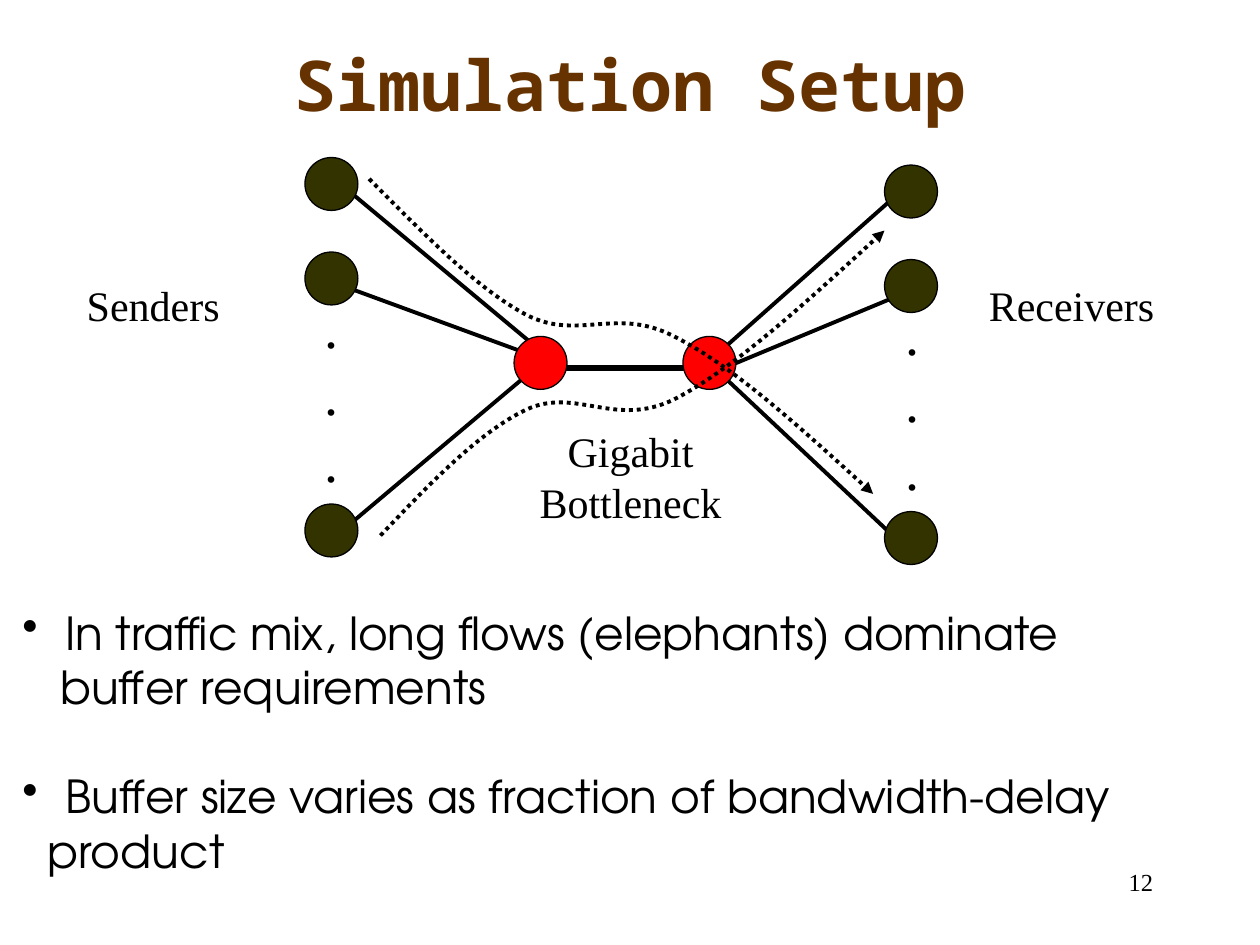
from lxml.etree import SubElement
from pptx import Presentation
from pptx.dml.color import RGBColor
from pptx.enum.dml import MSO_LINE
from pptx.enum.shapes import MSO_CONNECTOR, MSO_SHAPE
from pptx.enum.text import MSO_ANCHOR, MSO_AUTO_SIZE, PP_ALIGN
from pptx.oxml.ns import qn
from pptx.util import Inches, Pt

COLORS = {"title": "663300", "text": "000000", "line": "000000",
          "host": "333300", "router": "FF0000"}
SERIF = "Times New Roman"
NODE_SIZE = 0.42

presentation = Presentation()
presentation.slide_width, presentation.slide_height = Inches(10), Inches(7.5)
slide = presentation.slides.add_slide(presentation.slide_layouts[5])


def format_font(paragraph, color="text", **values):
    for name, value in values.items():
        setattr(paragraph.font, name, value)
    paragraph.font.color.rgb = RGBColor.from_string(COLORS[color])


def add_text(position, lines, size, name=SERIF, align=PP_ALIGN.LEFT, wrap=True):
    shape = slide.shapes.add_textbox(*[Inches(value) for value in position])
    frame = shape.text_frame
    frame.word_wrap = wrap
    frame.text = "\n".join(lines)
    for paragraph in frame.paragraphs:
        paragraph.alignment = align
        format_font(paragraph, size=Pt(size), name=name)
    return frame.paragraphs


# Title
title = slide.shapes.title
title_box = {"left": 0, "top": 0.08, "width": 10, "height": 1.16}
for name, value in title_box.items():
    setattr(title, name, Inches(value))
title.text_frame.text = "Simulation Setup"
title.text_frame.auto_size = MSO_AUTO_SIZE.NONE
title.text_frame.vertical_anchor = MSO_ANCHOR.MIDDLE
title_paragraph = title.text_frame.paragraphs[0]
title_paragraph.alignment = PP_ALIGN.CENTER
format_font(title_paragraph, "title", size=Pt(40), name="Noto Sans Mono", bold=True)

# Network links: start, end, width in points
links = [
    ((4.42, 2.92), (5.5, 2.92), 3),
    ((5.67, 2.83), (7.08, 1.58), 2.25),
    ((5.75, 2.92), (7.17, 2.33), 2.25),
    ((7.17, 4.33), (5.67, 2.92), 2.25),
    ((2.75, 1.5), (4.25, 2.75), 2.25),
    ((2.67, 2.25), (4.25, 2.83), 2.25),
    ((2.67, 4.25), (4.25, 2.92), 2.25),
]
for start, end, width in links:
    ends = [Inches(value) for value in start + end]
    link = slide.shapes.add_connector(MSO_CONNECTOR.STRAIGHT, *ends)
    link.line.color.rgb = RGBColor.from_string(COLORS["line"])
    link.line.width = Pt(width)
    SubElement(link._element.spPr, qn("a:effectLst"))

# Hosts in two columns, and the two routers
nodes = [(left, top + offset, "host")
         for left, top in ((2.42, 1.25), (7.02, 1.31))
         for offset in (0, 0.75, 2.75)]
nodes += [(4.08, 2.67, "router"), (5.42, 2.67, "router")]
for left, top, kind in nodes:
    node = slide.shapes.add_shape(MSO_SHAPE.OVAL, Inches(left), Inches(top),
                                  Inches(NODE_SIZE), Inches(NODE_SIZE))
    node.shadow.inherit = False
    node.fill.solid()
    node.fill.fore_color.rgb = RGBColor.from_string(COLORS[kind])
    node.line.color.rgb = RGBColor.from_string(COLORS["line"])
    node.line.width = Pt(0.75)

# Dots for the hosts left out
for left, top in ((2.48, 2.27), (7.09, 2.33)):
    add_text((left, top, 0.31, 1.7), [".", ".", "."], 32, wrap=False)

# Dotted traffic flows: a start, then two control points and an end per curve
flows = [
    [(3.02, 4.25), (3.41, 3.84), (3.8, 3.43), (4.18, 3.25), (4.57, 3.07),
     (4.88, 3.4), (5.35, 3.17), (5.82, 2.93), (6.42, 2.38), (7.02, 1.83)],
    [(2.93, 1.42), (3.36, 1.85), (3.78, 2.29), (4.18, 2.5), (4.59, 2.71),
     (4.89, 2.43), (5.35, 2.67), (5.81, 2.9), (6.37, 3.41), (6.93, 3.92)],
]
for points in flows:
    points = [(Inches(x), Inches(y)) for x, y in points]
    builder = slide.shapes.build_freeform(*points[0], scale=1.0)
    builder.add_line_segments(points[3::3], close=False)
    flow = builder.convert_to_shape()
    flow.shadow.inherit = False
    flow.fill.background()
    flow.line.color.rgb = RGBColor.from_string(COLORS["line"])
    flow.line.width = Pt(2.25)
    flow.line.dash_style = MSO_LINE.ROUND_DOT
    SubElement(flow.line._get_or_add_ln(), qn("a:tailEnd"), type="triangle")
    # Turn each straight segment into a cubic curve
    segments = list(flow._element.iter(qn("a:lnTo")))
    for index, segment in enumerate(segments):
        curve = segment.getparent().makeelement(qn("a:cubicBezTo"))
        for x, y in points[3 * index + 1:3 * index + 4]:
            SubElement(curve, qn("a:pt"), x=str(x - flow.left), y=str(y - flow.top))
        segment.getparent().replace(segment, curve)

# Bulleted findings: text, left margin, bulleted
findings = [
    ("In traffic mix, long flows (elephants) dominate", 0.34, True),
    ("buffer requirements", 0.3, False),
    ("Buffer size varies as fraction of bandwidth-delay", 0.34, True),
    ("product", 0.2, False),
]
paragraphs = add_text((0.08, 4.75, 9.83, 2.27), [text for text, _, _ in findings],
                      26, "TeX Gyre Adventor")
for paragraph, (_, margin, bulleted) in zip(paragraphs, findings):
    properties = paragraph._p.get_or_add_pPr()
    properties.set("marL", str(Inches(margin)))
    if bulleted:
        properties.set("indent", str(-Inches(margin)))
        bullet = properties.makeelement(qn("a:buChar"), char="•")
        properties.insert(0, bullet)
paragraphs[2].space_before = Pt(31.2)

# Labels and slide number
senders = add_text((0.42, 2.17, 1.67, 0.5), ["Senders"], 24)
senders[0]._p.get_or_add_pPr().set("marL", str(Inches(0.17)))
add_text((4.17, 3.33, 1.67, 0.9), ["Gigabit Bottleneck"], 24, align=PP_ALIGN.CENTER)
add_text((7.75, 2.17, 1.67, 0.5), ["Receivers"], 24)
add_text((7.17, 6.83, 2.08, 0.5), ["12"], 14, align=PP_ALIGN.RIGHT)

presentation.save("out.pptx")
